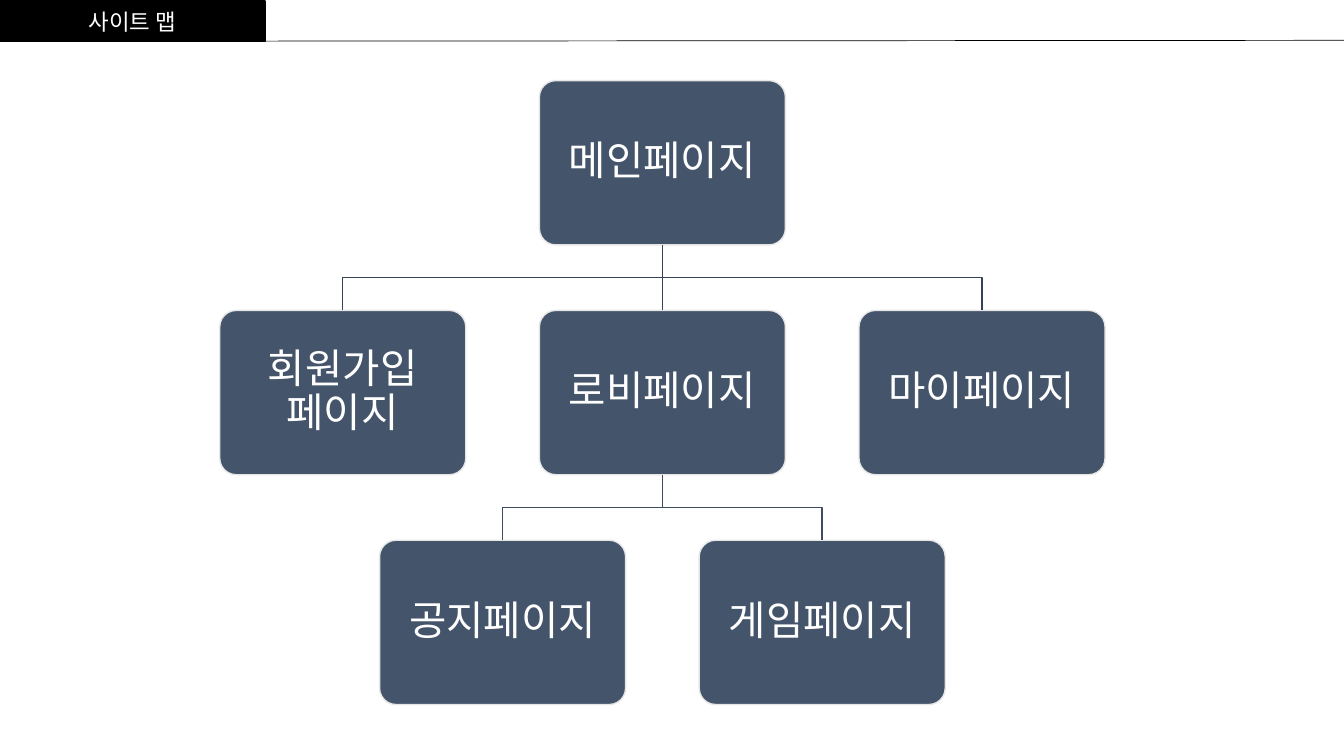
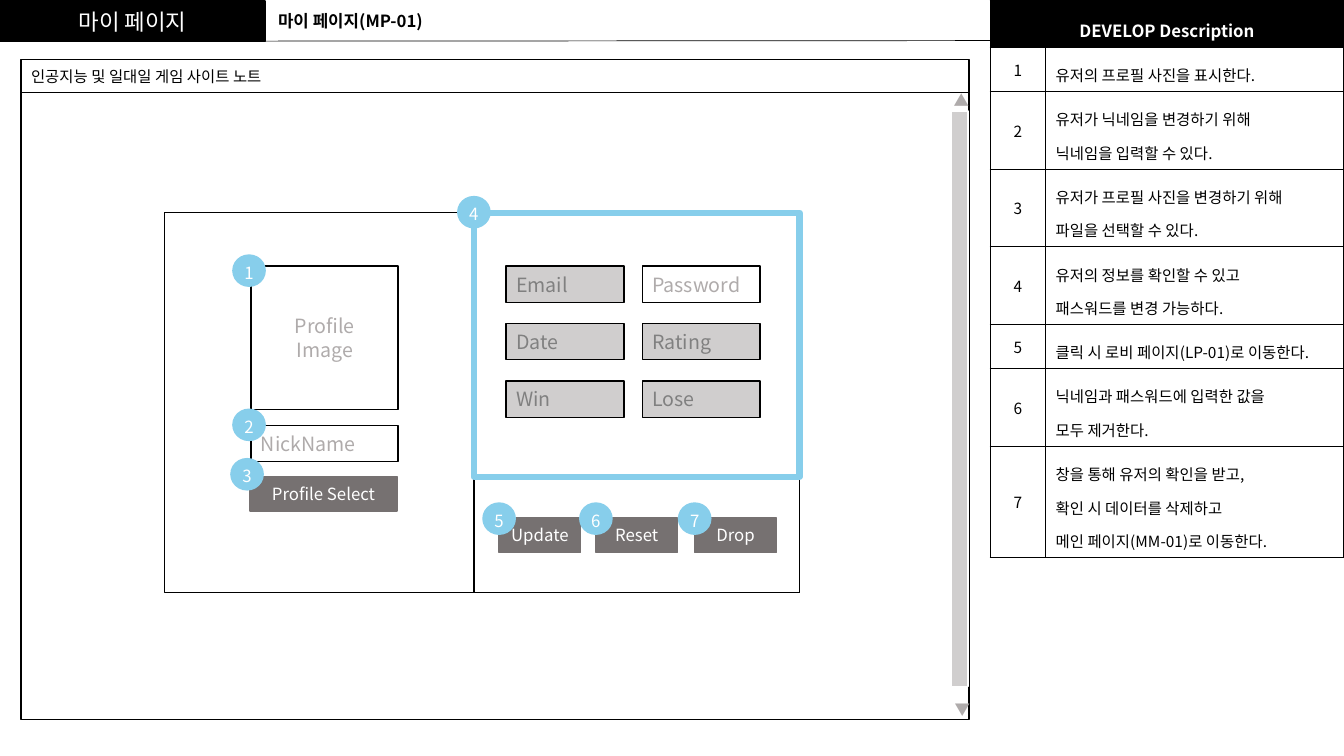
import pptx
import pptx.util
import pptx.dml.color
import pptx.enum.shapes
import pptx.enum.text
import pptx.oxml
import pptx.oxml.ns

Inches = pptx.util.Inches
Pt = pptx.util.Pt
rgb = pptx.dml.color.RGBColor.from_string
MSO = pptx.enum.shapes.MSO_SHAPE
MIDDLE = pptx.enum.text.MSO_ANCHOR.MIDDLE
LEFT = pptx.enum.text.PP_ALIGN.LEFT
CENTER = pptx.enum.text.PP_ALIGN.CENTER
qn = pptx.oxml.ns.qn

FONT = "Noto Sans CJK KR"
BLACK, WHITE = "000000", "FFFFFF"
NAVY, PALE = "44546A", "E7E6E6"
SKY, BUTTON = "87CEEB", "767171"
LIGHT, MUTED, HINT = "D0CECE", "808080", "AFABAB"


def write_text(tf, text, size, color, align=LEFT, bold=False, spacing=None):
    tf.text = text
    for p in tf.paragraphs:
        p.alignment = align
        if spacing:
            p.line_spacing = spacing
        for r in p.runs:
            r.font.size = Pt(size)
            r.font.bold = bold
            r.font.name = FONT
            r.font.color.rgb = rgb(color)
            ea = r.font._element.makeelement(qn("a:ea"), {"typeface": FONT})
            r.font._element.append(ea)


def add_box(s, x, y, w, h, fill, line, kind=MSO.RECTANGLE, weight=1):
    sp = s.shapes.add_shape(kind, Inches(x), Inches(y), Inches(w), Inches(h))
    sp.shadow.inherit = False
    sp.fill.solid()
    sp.fill.fore_color.rgb = rgb(fill)
    sp.line.color.rgb = rgb(line)
    sp.line.width = Pt(weight)
    sp.text_frame.word_wrap = True
    sp.text_frame.vertical_anchor = MIDDLE
    return sp


prs = pptx.Presentation()
prs.slide_width = Inches(13.33)
prs.slide_height = Inches(7.5)

slides = []
for title in ["사이트 맵", "마이 페이지"]:
    s = prs.slides.add_slide(prs.slide_layouts[6])
    sp = add_box(s, 0, 0.01, 2.63, 0.4, BLACK, BLACK)
    write_text(sp.text_frame, title, 16, WHITE, CENTER)
    rule = s.shapes.add_connector(pptx.enum.shapes.MSO_CONNECTOR.STRAIGHT,
                                  Inches(0), Inches(0.41), Inches(13.33), Inches(0.4))
    rule.line.color.rgb = rgb(BLACK)
    rule.line.width = Pt(0.5)
    rule._element.spPr.append(pptx.oxml.parse_xml(
        "<a:effectLst %s/>" % pptx.oxml.ns.nsdecls("a")))
    slides.append(s)

s = slides[0]
NODE_W, NODE_H, LEVEL, HALF_STEP, AXIS = 2.44, 1.63, 2.28, 1.585, 6.57
nodes = {}
for text, level, offset, parent in [
    ("메인페이지", 0, 0, None),
    ("회원가입 페이지", 1, -2, "메인페이지"),
    ("로비페이지", 1, 0, "메인페이지"),
    ("마이페이지", 1, 2, "메인페이지"),
    ("공지페이지", 2, -1, "로비페이지"),
    ("게임페이지", 2, 1, "로비페이지"),
]:
    x = AXIS + offset * HALF_STEP
    y = 0.8 + level * LEVEL
    sp = add_box(s, x - NODE_W / 2, y, NODE_W, NODE_H, NAVY, PALE, MSO.ROUNDED_RECTANGLE)
    sp.adjustments[0] = 0.1
    sp.text_frame.margin_left = sp.text_frame.margin_right = Inches(0.17)
    write_text(sp.text_frame, text, 29, WHITE, CENTER, spacing=0.9)
    nodes[text] = sp
    if not parent:
        continue
    color = "364355" if level == 1 else "3E4C60"
    top = y - LEVEL + NODE_H
    if offset == 0:
        link = s.shapes.add_connector(pptx.enum.shapes.MSO_CONNECTOR.STRAIGHT,
                                      Inches(x), Inches(top), Inches(x), Inches(y))
        link.begin_connect(nodes[parent], 2)
        link.end_connect(sp, 0)
        link._element.spPr.append(pptx.oxml.parse_xml(
            "<a:effectLst %s/>" % pptx.oxml.ns.nsdecls("a")))
    else:
        bend = (top + y) / 2
        builder = s.shapes.build_freeform(Inches(AXIS), Inches(top))
        builder.add_line_segments([(Inches(AXIS), Inches(bend)),
                                   (Inches(x), Inches(bend)),
                                   (Inches(x), Inches(y))], close=False)
        link = builder.convert_to_shape()
        link.fill.background()
        link.shadow.inherit = False
    link.line.color.rgb = rgb(color)
    link.line.width = Pt(1)

s = slides[1]
add_box(s, 0.21, 0.91, 9.4, 6.23, WHITE, BLACK)
add_box(s, 1.63, 2.11, 6.3, 3.77, WHITE, BLACK)
add_box(s, 4.7, 2.11, 3.23, 3.77, WHITE, BLACK)
sp = add_box(s, 0.21, 0.59, 9.4, 0.33, WHITE, BLACK)
write_text(sp.text_frame, "인공지능 및 일대일 게임 사이트 노트", 11, BLACK)
add_box(s, 9.44, 1.1, 0.16, 5.71, LIGHT, WHITE)

for text, x, y, w, size, color, bold in [
    ("▼", 9.37, 6.9, 0.32, 11, HINT, False),
    ("▲", 9.36, 0.86, 0.32, 11, HINT, False),
    ("마이 페이지(MP-01)", 2.66, 0.06, 3, 12, BLACK, True),
]:
    sp = s.shapes.add_textbox(Inches(x), Inches(y), Inches(w), Inches(0.3))
    sp.text_frame.word_wrap = True
    write_text(sp.text_frame, text, size, color, bold=bold)

sp = add_box(s, 2.49, 2.64, 1.46, 1.42, WHITE, BLACK)
write_text(sp.text_frame, "Profile\nImage", 14, HINT, CENTER)
sp = add_box(s, 2.49, 4.22, 1.46, 0.36, WHITE, BLACK)
write_text(sp.text_frame, "NickName", 14, HINT)
add_box(s, 4.7, 2.11, 3.23, 2.62, WHITE, SKY, weight=4.5)

for i, text in enumerate(["Email", "Password", "Date", "Rating", "Win", "Lose"]):
    row, col = divmod(i, 2)
    editable = text == "Password"
    sp = add_box(s, 5.02 + 1.35 * col, 2.64 + 0.57 * row, 1.17, 0.36,
                 WHITE if editable else LIGHT, BLACK)
    write_text(sp.text_frame, text, 14, HINT if editable else MUTED)

for text, x, y, w in [("Profile Select", 2.48, 4.73, 1.46), ("Update", 4.95, 5.14, 0.81),
                      ("Reset", 5.91, 5.14, 0.81), ("Drop", 6.89, 5.14, 0.81)]:
    sp = add_box(s, x, y, w, 0.34, BUTTON, BUTTON)
    sp.text_frame.margin_left = sp.text_frame.margin_right = 0
    write_text(sp.text_frame, text, 12, WHITE, CENTER)

badges = [(2.31, 2.53), (2.31, 4.06), (2.29, 4.55), (4.54, 1.95),
          (4.79, 4.99), (5.75, 4.99), (6.73, 4.99)]
for number, (x, y) in enumerate(badges, 1):
    sp = add_box(s, x, y, 0.32, 0.31, SKY, SKY, MSO.FLOWCHART_CONNECTOR)
    tf = sp.text_frame
    tf.margin_left = tf.margin_right = tf.margin_bottom = 0
    tf.margin_top = Inches(0.04)
    write_text(tf, str(number), 12, WHITE, CENTER)

descriptions = [
    "유저의 프로필 사진을 표시한다.",
    "유저가 닉네임을 변경하기 위해\n닉네임을 입력할 수 있다.",
    "유저가 프로필 사진을 변경하기 위해\n파일을 선택할 수 있다.",
    "유저의 정보를 확인할 수 있고\n패스워드를 변경 가능하다.",
    "클릭 시 로비 페이지(LP-01)로 이동한다.",
    "닉네임과 패스워드에 입력한 값을\n모두 제거한다.",
    "창을 통해 유저의 확인을 받고,\n확인 시 데이터를 삭제하고\n메인 페이지(MM-01)로 이동한다.",
]
table = s.shapes.add_table(len(descriptions) + 1, 2, Inches(9.82), Inches(0.01),
                           Inches(3.51), Inches(5.48)).table
table.columns[0].width = Inches(0.55)
table.columns[1].width = Inches(2.96)
table.rows[0].height = Inches(0.46)
for r, row in enumerate(table.rows):
    for cell in row.cells:
        tcPr = cell._tc.get_or_add_tcPr()
        for side in ["lnL", "lnR", "lnT", "lnB"]:
            tcPr.append(pptx.oxml.parse_xml(
                '<a:%s %s w="12700"><a:solidFill><a:srgbClr val="%s"/></a:solidFill></a:%s>'
                % (side, pptx.oxml.ns.nsdecls("a"), BLACK, side)))
        cell.fill.solid()
        cell.fill.fore_color.rgb = rgb(WHITE if r else BLACK)

table.cell(0, 0).merge(table.cell(0, 1))
write_text(table.cell(0, 0).text_frame, "DEVELOP Description", 12, WHITE, CENTER, True, 1.5)
for number, text in enumerate(descriptions, 1):
    table.rows[number].height = Inches(0.44 + 0.33 * text.count("\n"))
    cell = table.cell(number, 0)
    cell.vertical_anchor = MIDDLE
    write_text(cell.text_frame, str(number), 11, BLACK, CENTER)
    write_text(table.cell(number, 1).text_frame, text, 11, BLACK, spacing=1.5)

prs.save("out.pptx")
